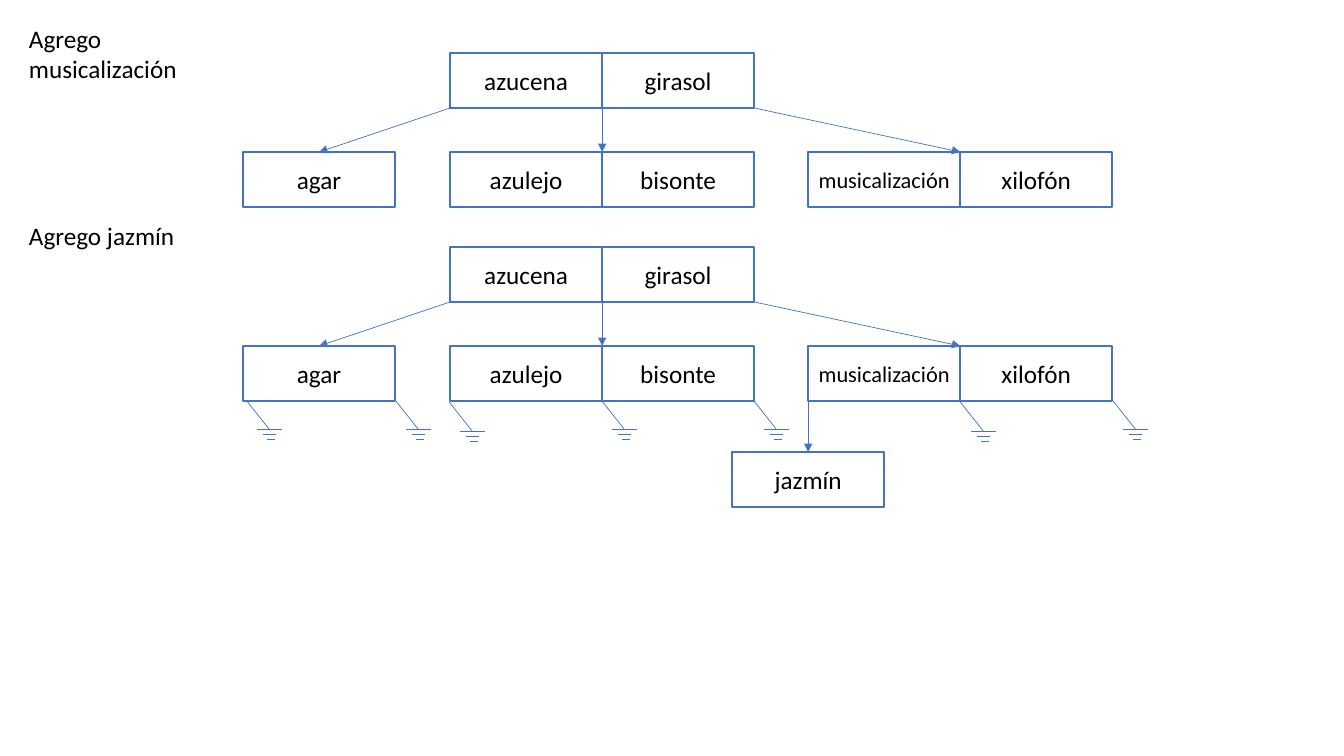
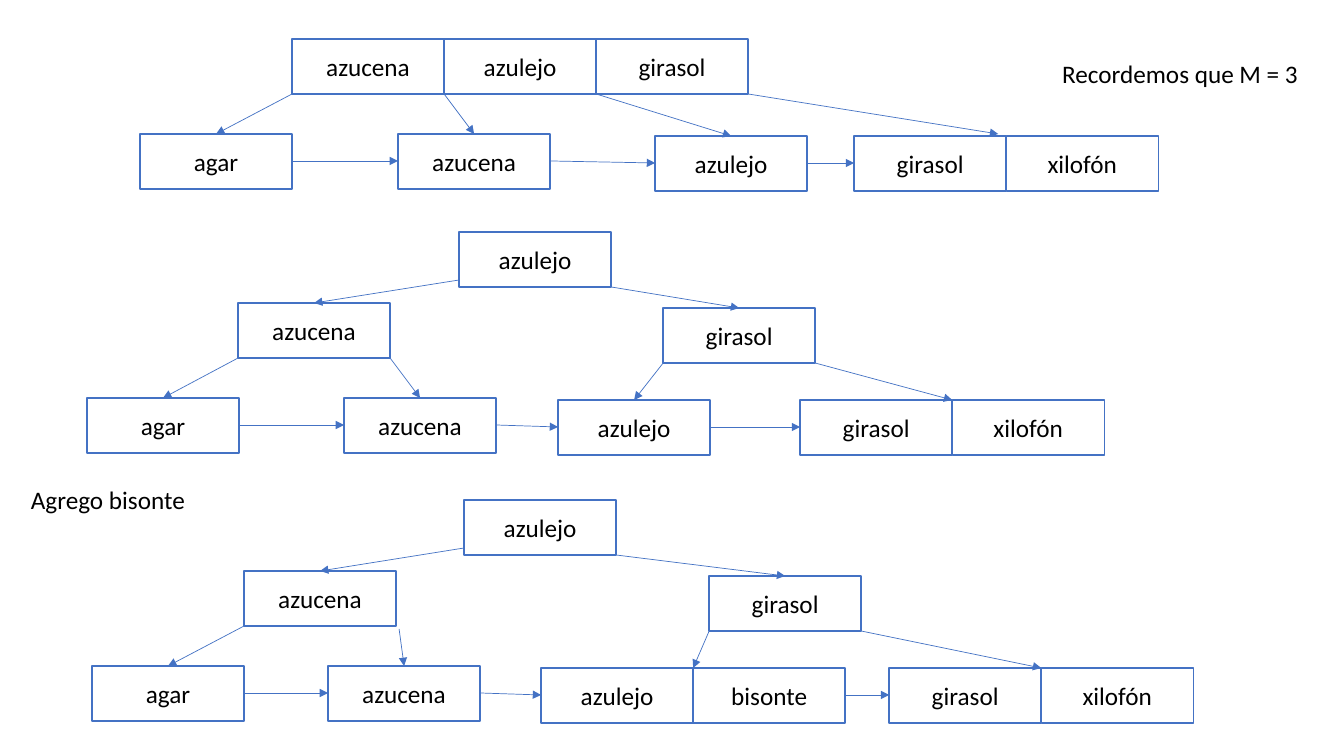
from collections import namedtuple

import pptx
import pptx.dml.color
import pptx.enum.shapes
import pptx.enum.text
import pptx.oxml.ns
import pptx.util
from lxml import etree

BLUE = pptx.dml.color.RGBColor(0x44, 0x72, 0xC4)
WHITE = pptx.dml.color.RGBColor(0xFF, 0xFF, 0xFF)
BLACK = pptx.dml.color.RGBColor(0x00, 0x00, 0x00)
FONT = "Calibri"
BLANK_LAYOUT = 6
KEY_WIDTH, KEY_HEIGHT = 152, 55

Node = namedtuple("Node", "left top keys")


def emu(pixels):
    """Turn picture pixels into EMU."""
    return pptx.util.Emu(round(pixels * 914400 / 100.8))


def corner(node, index):
    """Return the point below the node at the given key border."""
    return node.left + index * KEY_WIDTH, node.top + KEY_HEIGHT


def top_middle(node):
    """Return the middle of the node's upper edge."""
    return node.left + node.keys * KEY_WIDTH // 2, node.top


class TreeDeck:
    """Hold the shared style and the current slide."""

    def __init__(self):
        """Start a wide empty deck."""
        self.deck = pptx.Presentation()
        self.deck.slide_width = pptx.util.Inches(13.33)
        self.deck.slide_height = pptx.util.Inches(7.5)
        self.page = None

    def add_page(self):
        """Start a slide without placeholders."""
        layout = self.deck.slide_layouts[BLANK_LAYOUT]
        self.page = self.deck.slides.add_slide(layout)

    def style_text(self, box, text, size=18):
        """Put styled text in a box and return its paragraph."""
        box.text_frame.word_wrap = True
        para = box.text_frame.paragraphs[0]
        para.text = text
        for span in para.runs:
            span.font.name = FONT
            span.font.size = pptx.util.Pt(size)
            span.font.color.rgb = BLACK
        return para

    def caption(self, left, top, width, height, text):
        """Add a text box."""
        box = self.page.shapes.add_textbox(*map(emu, (left, top, width, height)))
        self.style_text(box, text)

    def node(self, left, top, *keys):
        """Add adjoining key boxes and return the node they form."""
        for index, key in enumerate(keys):
            box = self.page.shapes.add_shape(
                pptx.enum.shapes.MSO_SHAPE.RECTANGLE,
                emu(left + index * KEY_WIDTH), emu(top),
                emu(KEY_WIDTH), emu(KEY_HEIGHT))
            box.shadow.inherit = False
            box.fill.solid()
            box.fill.fore_color.rgb = WHITE
            box.line.color.rgb = BLUE
            box.line.width = pptx.util.Pt(1)
            para = self.style_text(box, key, 16 if len(key) > 10 else 18)
            para.alignment = pptx.enum.text.PP_ALIGN.CENTER
            box.text_frame.vertical_anchor = pptx.enum.text.MSO_ANCHOR.MIDDLE
        return Node(left, top, len(keys))

    def line(self, start, end, arrow=False, shapes=None):
        """Add a thin line, optionally with an arrowhead at its end."""
        shapes = self.page.shapes if shapes is None else shapes
        line = shapes.add_connector(
            pptx.enum.shapes.MSO_CONNECTOR.STRAIGHT, *map(emu, (*start, *end)))
        line.line.color.rgb = BLUE
        line.line.width = pptx.util.Pt(0.5)
        properties = line.element.spPr
        if arrow:
            outline = properties.find(pptx.oxml.ns.qn("a:ln"))
            etree.SubElement(outline, pptx.oxml.ns.qn("a:tailEnd"), type="triangle")
        etree.SubElement(properties, pptx.oxml.ns.qn("a:effectLst"))

    def link(self, parent, index, child, start_shift=(0, 0), end_shift=(0, 0)):
        """Point from a parent's key border to the top of a child."""
        start = [a + b for a, b in zip(corner(parent, index), start_shift)]
        end = [a + b for a, b in zip(top_middle(child), end_shift)]
        self.line(start, end, arrow=True)

    def chain(self, leaves):
        """Join neighbouring leaves with arrows."""
        for node, following in zip(leaves, leaves[1:]):
            self.line((node.left + node.keys * KEY_WIDTH, node.top + KEY_HEIGHT // 2),
                      (following.left, following.top + KEY_HEIGHT // 2), arrow=True)

    def null_link(self, left, top):
        """Add a slanted line that ends in a ground symbol."""
        self.line((left, top), (left + 23, top + 29))
        symbol = self.page.shapes.add_group_shape()
        for row, (first, last) in enumerate(((11, 36), (17, 30), (21, 29))):
            height = top + 29 + 5 * row
            self.line((left + first, height), (left + last, height),
                      shapes=symbol.shapes)

    def two_level_tree(self, top):
        """Add the tree with three children and return the last child."""
        root = self.node(450, top, "azucena", "girasol")
        children = [self.node(left, top + 99, *keys) for left, keys in (
            (243, ("agar",)),
            (450, ("azulejo", "bisonte")),
            (808, ("musicalización", "xilofón")))]
        for index, child in enumerate(children):
            self.link(root, index, child)
        return children[-1]

    def three_level_tree(self, top, root_left, inner_lefts, leaves, shift=(0, 0)):
        """Add the tree with a split root; shift moves one link's start."""
        root = self.node(root_left, top, "azulejo")
        inner = [self.node(inner_lefts[0], top + 71, "azucena"),
                 self.node(inner_lefts[1], top + 76, "girasol")]
        leaves = [self.node(left, top + (166 if index < 2 else 168), *keys)
                  for index, (left, *keys) in enumerate(leaves)]
        self.link(root, 0, inner[0], start_shift=(0, -7))
        self.link(root, 1, inner[1])
        for index, leaf in enumerate(leaves):
            self.link(inner[index // 2], index % 2, leaf,
                      start_shift=shift if index == 1 else (0, 0))
        self.chain(leaves)


def build_insertions(trees):
    """Build the slide that adds musicalización and jazmín."""
    trees.add_page()
    trees.caption(19, 18, 233, 72, "Agrego musicalización")
    trees.two_level_tree(53)
    trees.caption(19, 215, 233, 40, "Agrego jazmín")
    last = trees.two_level_tree(247)
    trees.link(last, 0, trees.node(732, 452, "jazmín"))
    for left, top in ((246, 400), (395, 400), (449, 402), (601, 400),
                      (753, 400), (960, 402), (1112, 400)):
        trees.null_link(left, top)


def build_split(trees):
    """Build the slide that splits the root and adds bisonte."""
    trees.add_page()
    root = trees.node(292, 39, "azucena", "azulejo", "girasol")
    leaves = [trees.node(140, 134, "agar"), trees.node(398, 134, "azucena"),
              trees.node(655, 136, "azulejo"),
              trees.node(854, 136, "girasol", "xilofón")]
    for index, leaf in enumerate(leaves):
        trees.link(root, index, leaf,
                   end_shift=(-8, -2) if index == 3 else (0, 0))
    trees.chain(leaves)
    trees.caption(1052, 53, 266, 40, "Recordemos que M = 3")
    trees.three_level_tree(232, 459, (238, 663), (
        (87, "agar"), (344, "azucena"), (558, "azulejo"),
        (800, "girasol", "xilofón")))
    trees.caption(21, 479, 233, 40, "Agrego bisonte")
    trees.three_level_tree(500, 464, (244, 709), (
        (92, "agar"), (328, "azucena"), (541, "azulejo", "bisonte"),
        (889, "girasol", "xilofón")), shift=(3, 3))


def main():
    """Build and save the deck."""
    trees = TreeDeck()
    build_insertions(trees)
    build_split(trees)
    trees.deck.save("out.pptx")


main()
